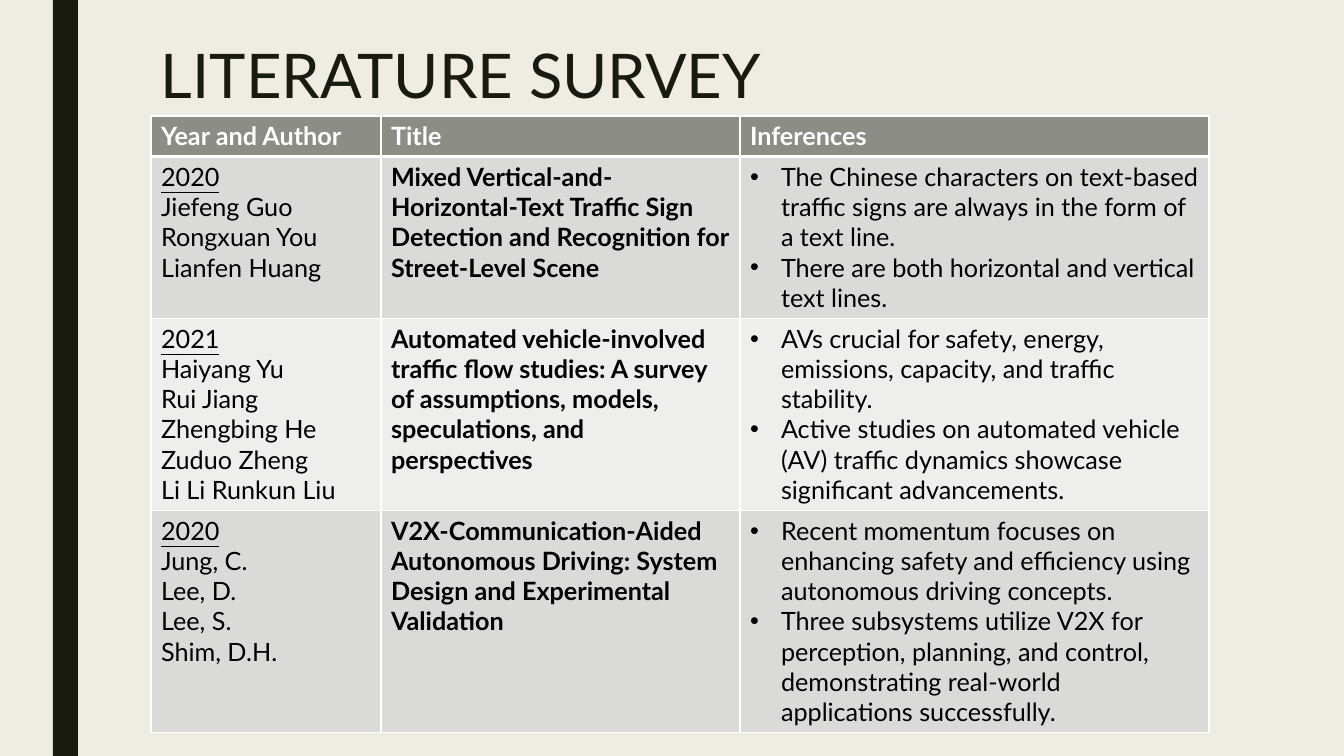
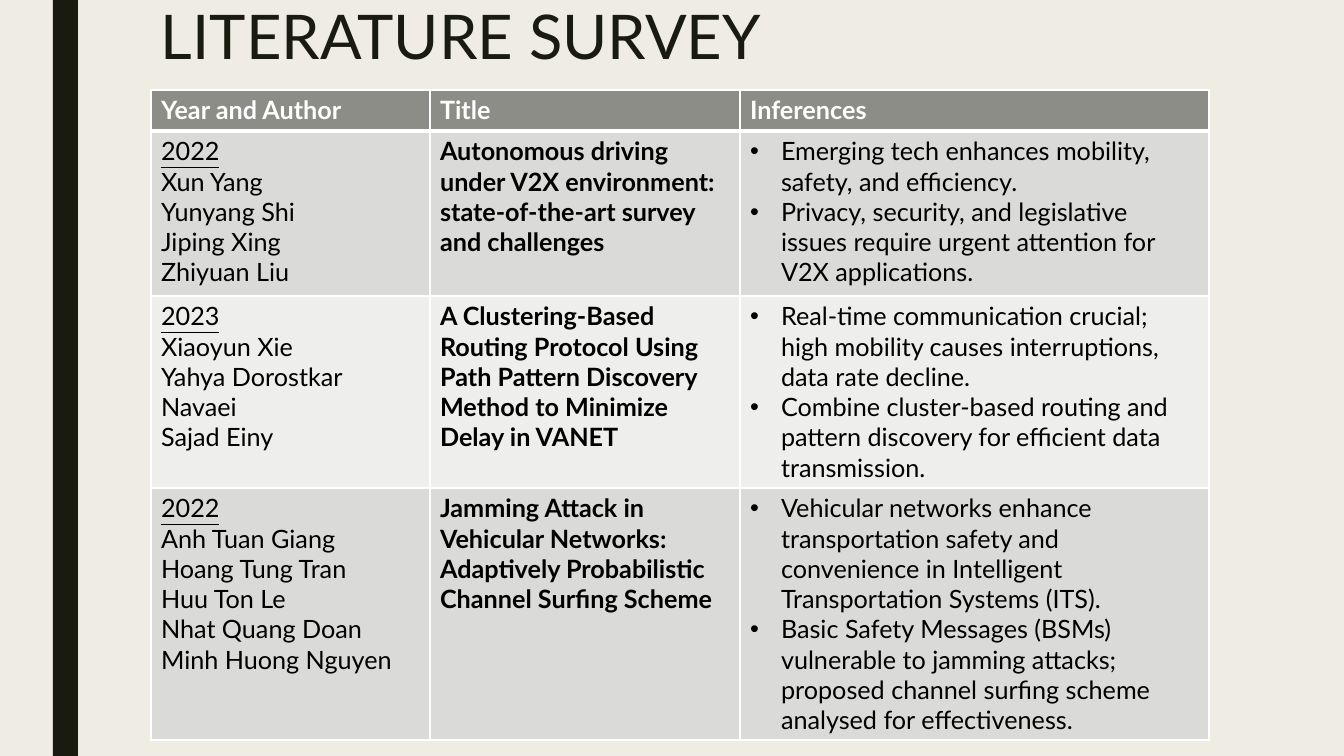
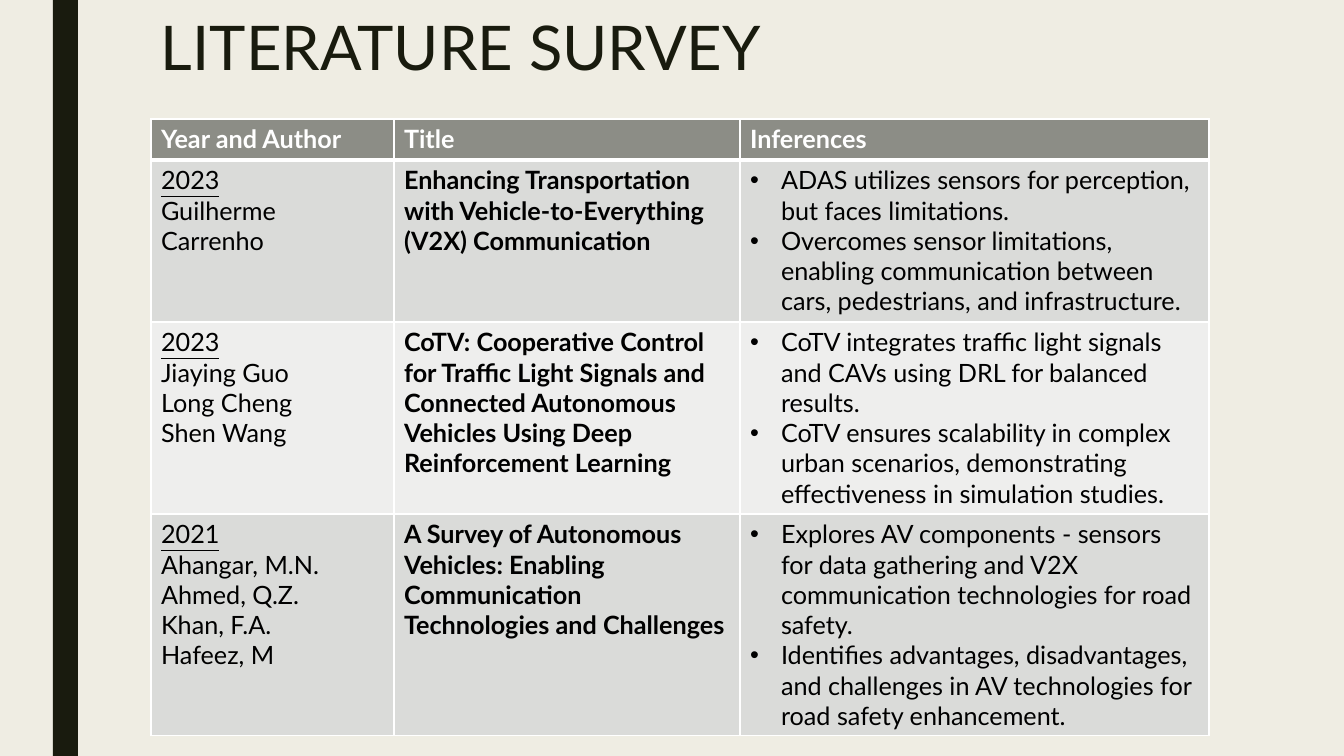
from lxml import etree
from pptx import Presentation
from pptx.dml.color import RGBColor
from pptx.enum.shapes import MSO_SHAPE
from pptx.enum.text import MSO_ANCHOR
from pptx.oxml.ns import qn
from pptx.util import Emu, Pt

RECTANGLE = MSO_SHAPE.RECTANGLE
MIDDLE = MSO_ANCHOR.MIDDLE

EMU_PER_PX = 914400 / 100.8
SLIDE_W, SLIDE_H = 1344, 756
LEFT, CONTENT_W = 151, 1058
INFERENCES_W = 469
BULLET_INDENT = 31
FONT = "Lato"
COLORS = {
    "background": "EFEDE3",
    "dark": "191B0E",
    "header": "8C8D86",
    "odd_row": "DADBD9",
    "even_row": "EEEEED",
    "text": "000000",
    "white": "FFFFFF",
}
HEADINGS = ["Year and Author", "Title", "Inferences"]

# One survey per slide; a paper is (year, authors, title, inferences)
SURVEYS = [
    {
        "title_top": 40, "table_top": 116, "author_w": 230,
        "row_heights": [40, 162, 192, 221],
        "papers": [
            ("2020", ["Jiefeng Guo", "Rongxuan You", "Lianfen Huang"],
             "Mixed Vertical-and-Horizontal-Text Traffic Sign Detection and "
             "Recognition for Street-Level Scene",
             ["The Chinese characters on text-based traffic signs are always in "
              "the form of a text line.",
              "There are both horizontal and vertical text lines."]),
            ("2021", ["Haiyang Yu", "Rui Jiang", "Zhengbing He Zuduo Zheng",
                      "Li Li Runkun Liu"],
             "Automated vehicle-involved traffic flow studies: A survey of "
             "assumptions, models, speculations, and perspectives",
             ["AVs crucial for safety, energy, emissions, capacity, and traffic "
              "stability.",
              "Active studies on automated vehicle (AV) traffic dynamics showcase "
              "significant advancements."]),
            ("2020", ["Jung, C.", "Lee, D.", "Lee, S.", "Shim, D.H."],
             "V2X-Communication-Aided Autonomous Driving: System Design and "
             "Experimental Validation",
             ["Recent momentum focuses on enhancing safety and efficiency using "
              "autonomous driving concepts.",
              "Three subsystems utilize V2X for perception, planning, and control, "
              "demonstrating real-world applications successfully."]),
        ],
    },
    {
        "title_top": 1, "table_top": 90, "author_w": 279,
        "row_heights": [41, 165, 192, 252],
        "papers": [
            ("2022", ["Xun Yang", "Yunyang Shi", "Jiping Xing", "Zhiyuan Liu"],
             "Autonomous driving under V2X environment: state-of-the-art survey "
             "and challenges",
             ["Emerging tech enhances mobility, safety, and efficiency.",
              "Privacy, security, and legislative issues require urgent attention "
              "for V2X applications."]),
            ("2023", ["Xiaoyun Xie", "Yahya Dorostkar Navaei", "Sajad Einy"],
             "A Clustering-Based Routing Protocol Using Path Pattern Discovery "
             "Method to Minimize Delay in VANET",
             ["Real-time communication crucial; high mobility causes "
              "interruptions, data rate decline.",
              "Combine cluster-based routing and pattern discovery for efficient "
              "data transmission."]),
            ("2022", ["Anh Tuan Giang", "Hoang Tung Tran", "Huu Ton Le",
                      "Nhat Quang Doan", "Minh Huong Nguyen"],
             "Jamming Attack in Vehicular Networks: Adaptively Probabilistic "
             "Channel Surfing Scheme",
             ["Vehicular networks enhance transportation safety and convenience "
              "in Intelligent Transportation Systems (ITS).",
              "Basic Safety Messages (BSMs) vulnerable to jamming attacks; "
              "proposed channel surfing scheme analysed for effectiveness."]),
        ],
    },
    {
        "title_top": 12, "table_top": 119, "author_w": 243,
        "row_heights": [41, 162, 192, 221],
        "papers": [
            ("2023", ["Guilherme Carrenho"],
             "Enhancing Transportation with Vehicle-to-Everything (V2X) "
             "Communication",
             ["ADAS utilizes sensors for perception, but faces limitations.",
              "Overcomes sensor limitations, enabling communication between cars, "
              "pedestrians, and infrastructure."]),
            ("2023", ["Jiaying Guo", "Long Cheng", "Shen Wang"],
             "CoTV: Cooperative Control for Traffic Light Signals and Connected "
             "Autonomous Vehicles Using Deep Reinforcement Learning",
             ["CoTV integrates traffic light signals and CAVs using DRL for "
              "balanced results.",
              "CoTV ensures scalability in complex urban scenarios, demonstrating "
              "effectiveness in simulation studies."]),
            ("2021", ["Ahangar, M.N. Ahmed, Q.Z.", "Khan, F.A.", "Hafeez, M"],
             "A Survey of Autonomous Vehicles: Enabling Communication "
             "Technologies and Challenges",
             ["Explores AV components - sensors for data gathering and V2X "
              "communication technologies for road safety.",
              "Identifies advantages, disadvantages, and challenges in AV "
              "technologies for road safety enhancement."]),
        ],
    },
]


def px(length):
    return Emu(round(length * EMU_PER_PX))


def rgb(name):
    return RGBColor.from_string(COLORS[name])


def format_paragraph(paragraph, size, color, bold=False, underline=False):
    for run in paragraph.runs:
        run.font.name = FONT
        run.font.size = Pt(size)
        run.font.bold = bold
        run.font.underline = underline
        run.font.color.rgb = rgb(color)


def add_bullet(paragraph):
    properties = paragraph._p.get_or_add_pPr()
    properties.set("marL", str(px(BULLET_INDENT)))
    properties.set("indent", str(-px(BULLET_INDENT)))
    etree.SubElement(properties, qn("a:buFont")).set("typeface", "Arial")
    etree.SubElement(properties, qn("a:buChar")).set("char", "•")


def set_borders(cell, top=1, bottom=1):
    """Draw white borders; their elements must precede the cell's fill."""
    properties = cell._tc.get_or_add_tcPr()
    widths = {"a:lnL": 1, "a:lnR": 1, "a:lnT": top, "a:lnB": bottom}
    for position, (tag, width) in enumerate(widths.items()):
        border = etree.Element(qn(tag), w=str(Pt(width)))
        fill = etree.SubElement(border, qn("a:solidFill"))
        etree.SubElement(fill, qn("a:srgbClr")).set("val", COLORS["white"])
        properties.insert(position, border)


def fill_cell(cell, lines, fill, color="text", bold=False, bulleted=False):
    cell.fill.solid()
    cell.fill.fore_color.rgb = rgb(fill)
    cell.text_frame.text = "\n".join(lines)
    for paragraph in cell.text_frame.paragraphs:
        if bulleted:
            add_bullet(paragraph)
        format_paragraph(paragraph, 18, color, bold)


def add_side_band(slide):
    band = slide.shapes.add_shape(RECTANGLE, px(53), 0, px(25), px(SLIDE_H))
    band.shadow.inherit = False
    band.fill.solid()
    band.fill.fore_color.rgb = rgb("dark")
    band.line.fill.background()


def add_title(slide, top):
    title = slide.shapes.add_textbox(px(LEFT), px(top), px(CONTENT_W), px(77))
    frame = title.text_frame
    frame.word_wrap = True
    frame.vertical_anchor = MIDDLE
    frame.text = "LITERATURE SURVEY"
    frame.paragraphs[0].line_spacing = 0.89
    format_paragraph(frame.paragraphs[0], 44, "dark")


def add_survey_table(slide, survey):
    heights = survey["row_heights"]
    author_w = survey["author_w"]
    widths = [author_w, CONTENT_W - INFERENCES_W - author_w, INFERENCES_W]
    table = slide.shapes.add_table(
        len(heights), len(widths), px(LEFT), px(survey["table_top"]),
        px(CONTENT_W), px(sum(heights))).table
    table.first_row = table.horz_banding = False
    for column, width in zip(table.columns, widths):
        column.width = px(width)
    for row, height in zip(table.rows, heights):
        row.height = px(height)

    # Header row, with a thick rule below it
    for cell, heading in zip(table.rows[0].cells, HEADINGS):
        fill_cell(cell, [heading], "header", "white", bold=True)
        set_borders(cell, bottom=3)

    # One row per paper, in alternating shades
    for number, (year, authors, title, inferences) in enumerate(survey["papers"], 1):
        shade = "odd_row" if number % 2 else "even_row"
        author_cell, title_cell, inference_cell = table.rows[number].cells
        fill_cell(author_cell, [year, *authors], shade)
        author_cell.text_frame.paragraphs[0].runs[0].font.underline = True
        fill_cell(title_cell, [title], shade, bold=True)
        fill_cell(inference_cell, inferences, shade, bulleted=True)
        for cell in (author_cell, title_cell, inference_cell):
            set_borders(cell, top=3 if number == 1 else 1)


def main():
    deck = Presentation()
    deck.slide_width, deck.slide_height = px(SLIDE_W), px(SLIDE_H)
    background = deck.slide_master.background.fill
    background.solid()
    background.fore_color.rgb = rgb("background")
    for survey in SURVEYS:
        slide = deck.slides.add_slide(deck.slide_layouts[6])
        add_side_band(slide)
        add_title(slide, survey["title_top"])
        add_survey_table(slide, survey)
    deck.save("out.pptx")


if __name__ == "__main__":
    main()
